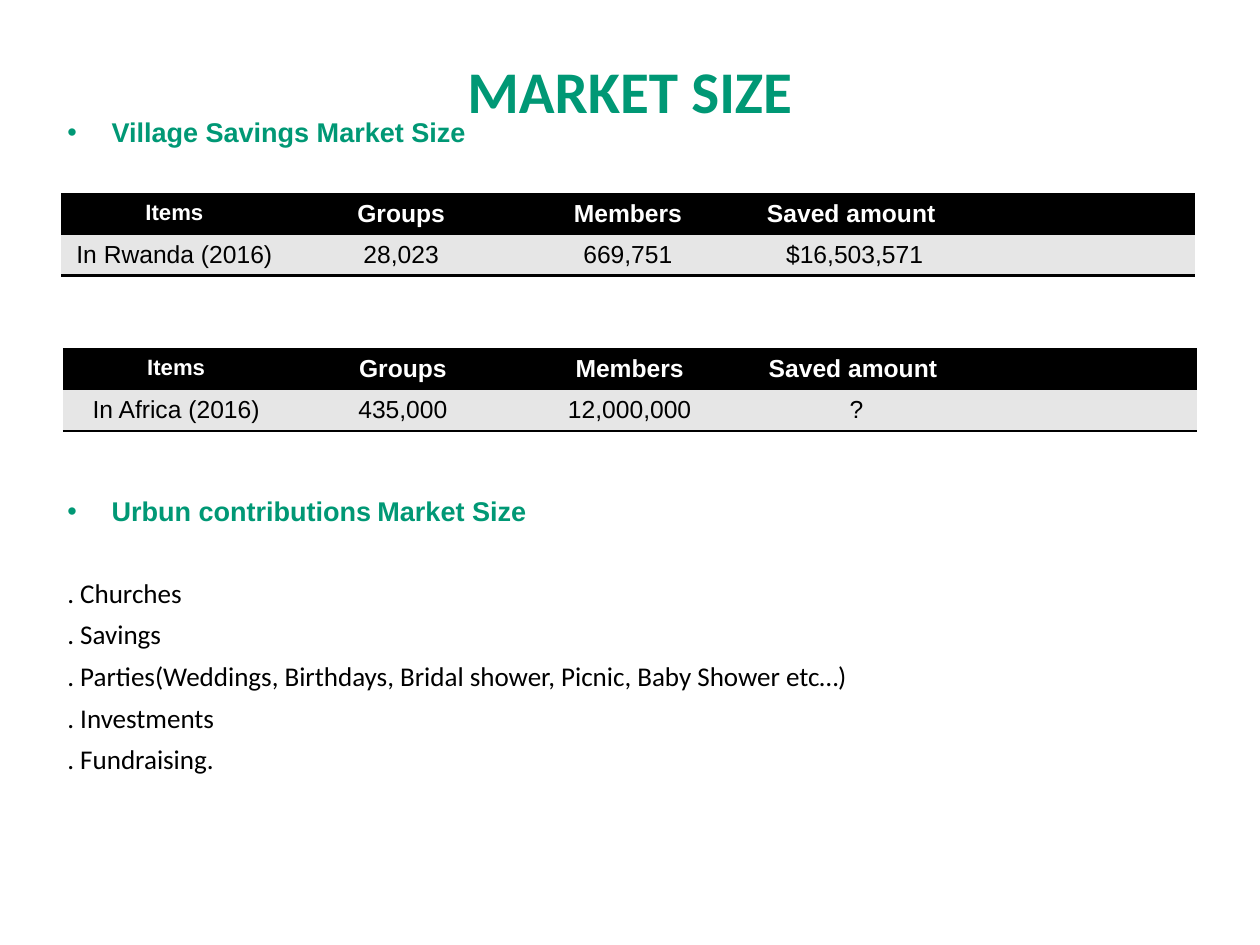
import pptx
import pptx.dml.color
import pptx.enum.text
import pptx.oxml
import pptx.oxml.ns
import pptx.util

Cm = pptx.util.Cm
Pt = pptx.util.Pt
ALIGN = pptx.enum.text.PP_ALIGN
ANCHOR = pptx.enum.text.MSO_ANCHOR

GREEN, BLACK, WHITE, GREY = "009875", "000000", "FFFFFF", "E6E6E6"
INSET = Cm(0.18)
NO_TABLE_STYLE = "{2D5ABB26-0587-4C30-8999-92F81FD0307C}"
HEADER = ["Items", "Groups", "Members", "Saved amount ", ""]


def color(hex_string):
    return pptx.dml.color.RGBColor.from_string(hex_string)


def xml(markup):
    return pptx.oxml.parse_xml(
        markup.replace(" ", f" {pptx.oxml.ns.nsdecls('a')} ", 1))


def add_run(paragraph, words, size, font, hex_string, bold=False):
    run = paragraph.add_run()
    run.text = words
    run.font.size = Pt(size)
    run.font.name = font
    run.font.bold = bold
    run.font.color.rgb = color(hex_string)


def place(placeholder, box, anchor):
    """Move a placeholder to a box in cm and return its text frame."""
    placeholder.left, placeholder.top, placeholder.width, placeholder.height = map(Cm, box)
    frame = placeholder.text_frame
    frame.auto_size = pptx.enum.text.MSO_AUTO_SIZE.NONE
    frame.word_wrap = True
    frame.vertical_anchor = anchor
    frame.margin_left = frame.margin_right = INSET
    frame.margin_top = frame.margin_bottom = INSET
    return frame


def format_line(paragraph, space_before, indent, *bullet):
    paragraph.alignment = ALIGN.LEFT
    paragraph.line_spacing = 0.9
    paragraph.space_before = Pt(space_before)
    properties = paragraph._p.get_or_add_pPr()
    properties.set("marL", str(indent))
    properties.set("indent", str(-indent))
    for markup in bullet:
        properties.append(xml(markup))


def fill_title(placeholder, box, words):
    paragraph = place(placeholder, box, ANCHOR.MIDDLE).paragraphs[0]
    paragraph.alignment = ALIGN.CENTER
    add_run(paragraph, words, 48, "Calibri", GREEN, True)


def fill_section(placeholder, box, heading, entries=()):
    """Write a bulleted heading, given as (words, size) runs, and its entries."""
    frame = place(placeholder, box, ANCHOR.TOP)
    paragraph = frame.paragraphs[0]
    format_line(paragraph, 0, Cm(1.27),
                f'<a:buClr ><a:srgbClr val="{GREEN}"/></a:buClr>',
                '<a:buFont typeface="Arial"/>', '<a:buChar char="•"/>')
    for words, size in heading:
        add_run(paragraph, words, size, "Arial", GREEN, True)
    for number, entry in enumerate(entries):
        paragraph = frame.add_paragraph()
        format_line(paragraph, 10 if number else 43, 0, "<a:buNone />")
        add_run(paragraph, entry, 22, "Calibri", BLACK)


def add_market_table(slide, left, top, figures):
    column_width, row_height = 6.5, 1.17
    frame = slide.shapes.add_table(2, len(HEADER), Cm(left), Cm(top),
                                   Cm(column_width * len(HEADER)), Cm(2 * row_height))
    frame._element.xpath(".//a:tableStyleId")[0].text = NO_TABLE_STYLE
    table = frame.table
    for column in table.columns:
        column.width = Cm(column_width)
    looks = [(HEADER, BLACK, WHITE, True, "lnT"), (figures, GREY, BLACK, False, "lnB")]
    for r, (row, fill, ink, bold, edge) in enumerate(looks):
        table.rows[r].height = Cm(row_height)
        for c, words in enumerate(row):
            cell = table.cell(r, c)
            cell.margin_left = cell.margin_right = INSET
            cell.margin_top = cell.margin_bottom = INSET
            cell.fill.solid()
            cell.fill.fore_color.rgb = color(fill)
            cell._tc.get_or_add_tcPr().insert(0, xml(
                f'<a:{edge} w="{Pt(2)}"><a:solidFill><a:srgbClr val="{BLACK}"/>'
                f'</a:solidFill></a:{edge}>'))
            if words:
                paragraph = cell.text_frame.paragraphs[0]
                paragraph.alignment = ALIGN.CENTER
                add_run(paragraph, words, 18 if words == "Items" else 20, "Arial", ink, bold)


def build_market_size(presentation):
    slide = presentation.slides.add_slide(presentation.slide_layouts.get_by_name("Two Content"))
    village, urban = list(slide.placeholders)[1:]
    fill_title(slide.shapes.title, (1.8, 1.09, 32.51, 2.95), "MARKET SIZE")
    fill_section(village, (1.75, 3.23, 32.51, 2.13), [("Village Savings Market Size", 22)])
    add_market_table(slide, 1.75, 5.56,
                     ["In Rwanda (2016)", "28,023", "669,751", "$16,503,571", ""])
    add_market_table(slide, 1.8, 10.01,
                     ["In Africa (2016)", "435,000", "12,000,000", "?", ""])
    fill_section(urban, (1.75, 14.1, 32.51, 2.13),
                 [("Urbun contributions", 22), (" ", 18), ("Market Size", 22)],
                 [". Churches", ". Savings",
                  ". Parties(Weddings, Birthdays, Bridal shower, Picnic, Baby Shower etc…)",
                  ". Investments", ". Fundraising."])


def main():
    presentation = pptx.Presentation()
    presentation.slide_width = Cm(36.12)
    presentation.slide_height = Cm(27.1)
    build_market_size(presentation)
    presentation.save("out.pptx")


if __name__ == "__main__":
    main()
